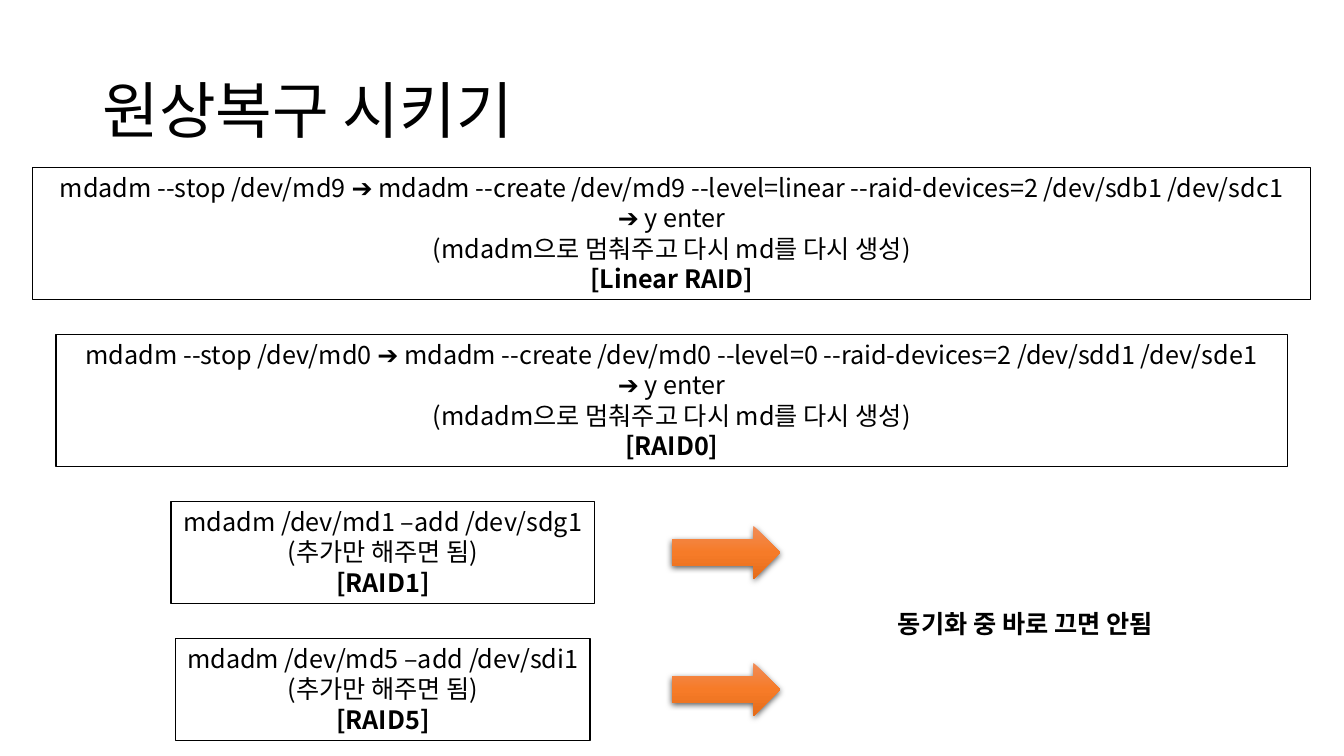
import copy
from dataclasses import dataclass

import pptx
import pptx.dml.color
import pptx.enum.shapes
import pptx.enum.text
import pptx.oxml
import pptx.oxml.ns
import pptx.util
from pptx.util import Cm

ALIGN = pptx.enum.text.PP_ALIGN
ANCHOR = pptx.enum.text.MSO_ANCHOR
SHAPES = pptx.enum.shapes.MSO_SHAPE


@dataclass(frozen=True)
class Theme:
    font: str = "Noto Sans CJK KR"
    ink: str = "000000"
    paper: str = "FFFFFF"
    arrow_stops: tuple = ((0, "F18C57"), (0.5, "F67B28"), (1, "E56C19"))
    title_size: int = 44
    body_size: int = 18


THEME = Theme()

RECREATE = "(mdadm으로 멈춰주고 다시 md를 다시 생성)"
ADD_ONLY = "(추가만 해주면 됨)"
# Each box: centre x, width, height, lines, followed by an arrow or not
COMMANDS = [
    (16.93, 32.21, 3.33, [
        "mdadm --stop /dev/md9 ➔ mdadm --create /dev/md9 --level=linear "
        "--raid-devices=2 /dev/sdb1 /dev/sdc1",
        "➔ y enter", RECREATE, "[Linear RAID]"], False),
    (16.93, 31.04, 3.33, [
        "mdadm --stop /dev/md0 ➔ mdadm --create /dev/md0 --level=0 "
        "--raid-devices=2 /dev/sdd1 /dev/sde1",
        "➔ y enter", RECREATE, "[RAID0]"], False),
    (9.65, 10.67, 2.57, ["mdadm /dev/md1 –add /dev/sdg1", ADD_ONLY, "[RAID1]"], True),
    (9.65, 10.44, 2.57, ["mdadm /dev/md5 –add /dev/sdi1", ADD_ONLY, "[RAID5]"], True),
]


def color(value):
    return pptx.dml.color.RGBColor.from_string(value)


def format_text(paragraph, size, bold=False, align=ALIGN.LEFT):
    paragraph.alignment = align
    for run in paragraph.runs:
        run.font.name = THEME.font
        run.font.size = pptx.util.Pt(size)
        run.font.bold = bold
        run.font.color.rgb = color(THEME.ink)
        # Hangul takes the East Asian typeface
        east_asian = copy.deepcopy(run.font._element.find(pptx.oxml.ns.qn("a:latin")))
        east_asian.tag = pptx.oxml.ns.qn("a:ea")
        run.font._element.append(east_asian)


def add_title(slide, left, top, width, height):
    title = slide.shapes.title
    title.left, title.top, title.width, title.height = map(Cm, (left, top, width, height))
    frame = title.text_frame
    frame.text = "원상복구 시키기"
    frame.vertical_anchor = ANCHOR.MIDDLE
    frame.auto_size = pptx.enum.text.MSO_AUTO_SIZE.NONE
    frame.paragraphs[0].line_spacing = 0.9
    format_text(frame.paragraphs[0], THEME.title_size)


def add_command_box(slide, left, top, width, height, lines):
    box = slide.shapes.add_shape(SHAPES.RECTANGLE, *map(Cm, (left, top, width, height)))
    box.shadow.inherit = False
    box.fill.solid()
    box.fill.fore_color.rgb = color(THEME.paper)
    box.line.color.rgb = color(THEME.ink)
    box.line.width = pptx.util.Pt(1)
    frame = box.text_frame
    frame.word_wrap = False
    frame.auto_size = pptx.enum.text.MSO_AUTO_SIZE.SHAPE_TO_FIT_TEXT
    frame.vertical_anchor = ANCHOR.TOP
    frame.text = "\n".join(lines)
    for paragraph in frame.paragraphs:
        is_level = paragraph.text.startswith("[")
        format_text(paragraph, THEME.body_size, is_level, ALIGN.CENTER)


def add_arrow(slide, left, top, width, height):
    arrow = slide.shapes.add_shape(SHAPES.RIGHT_ARROW, *map(Cm, (left, top, width, height)))
    arrow.line.fill.background()
    # Three-stop gradient running downwards
    arrow.fill.gradient()
    arrow.fill.gradient_angle = 270
    stop_list = arrow._element.spPr.find(".//" + pptx.oxml.ns.qn("a:gsLst"))
    stop_list.insert(1, copy.deepcopy(stop_list[0]))
    for stop, (position, value) in zip(arrow.fill.gradient_stops, THEME.arrow_stops):
        stop.position = position
        stop.color.rgb = color(value)
    # Soft shadow below
    arrow.shadow.inherit = False
    effects = arrow._element.spPr.find(pptx.oxml.ns.qn("a:effectLst"))
    effects.append(pptx.oxml.parse_xml(
        f'<a:outerShdw {pptx.oxml.ns.nsdecls("a")} blurRad="57150" dist="19050" '
        f'dir="5400000" algn="ctr" rotWithShape="0"><a:srgbClr val="{THEME.ink}">'
        '<a:alpha val="63000"/></a:srgbClr></a:outerShdw>'))


def add_commands(slide, top, gap):
    """Stack the boxes downwards, with each arrow centred beside its box."""
    arrow_left, arrow_width, arrow_height = 16.94, 2.72, 1.35
    for center, width, height, lines, has_arrow in COMMANDS:
        add_command_box(slide, center - width / 2, top, width, height, lines)
        if has_arrow:
            add_arrow(slide, arrow_left, top + (height - arrow_height) / 2,
                      arrow_width, arrow_height)
        top += height + gap


def add_warning(slide, left, top, width, height):
    warning = slide.shapes.add_textbox(*map(Cm, (left, top, width, height)))
    frame = warning.text_frame
    frame.word_wrap = False
    frame.auto_size = pptx.enum.text.MSO_AUTO_SIZE.SHAPE_TO_FIT_TEXT
    frame.text = "동기화 중 바로 끄면 안됨"
    format_text(frame.paragraphs[0], THEME.body_size, bold=True)


def main():
    presentation = pptx.Presentation()
    presentation.slide_width, presentation.slide_height = Cm(33.87), Cm(19.05)
    slide = presentation.slides.add_slide(presentation.slide_layouts[5])
    add_title(slide, 2.33, 1.01, 29.21, 3.68)
    add_commands(slide, top=4.22, gap=0.88)
    add_warning(slide, 22.38, 15.2, 7.82, 1.03)
    presentation.save("out.pptx")


if __name__ == "__main__":
    main()
